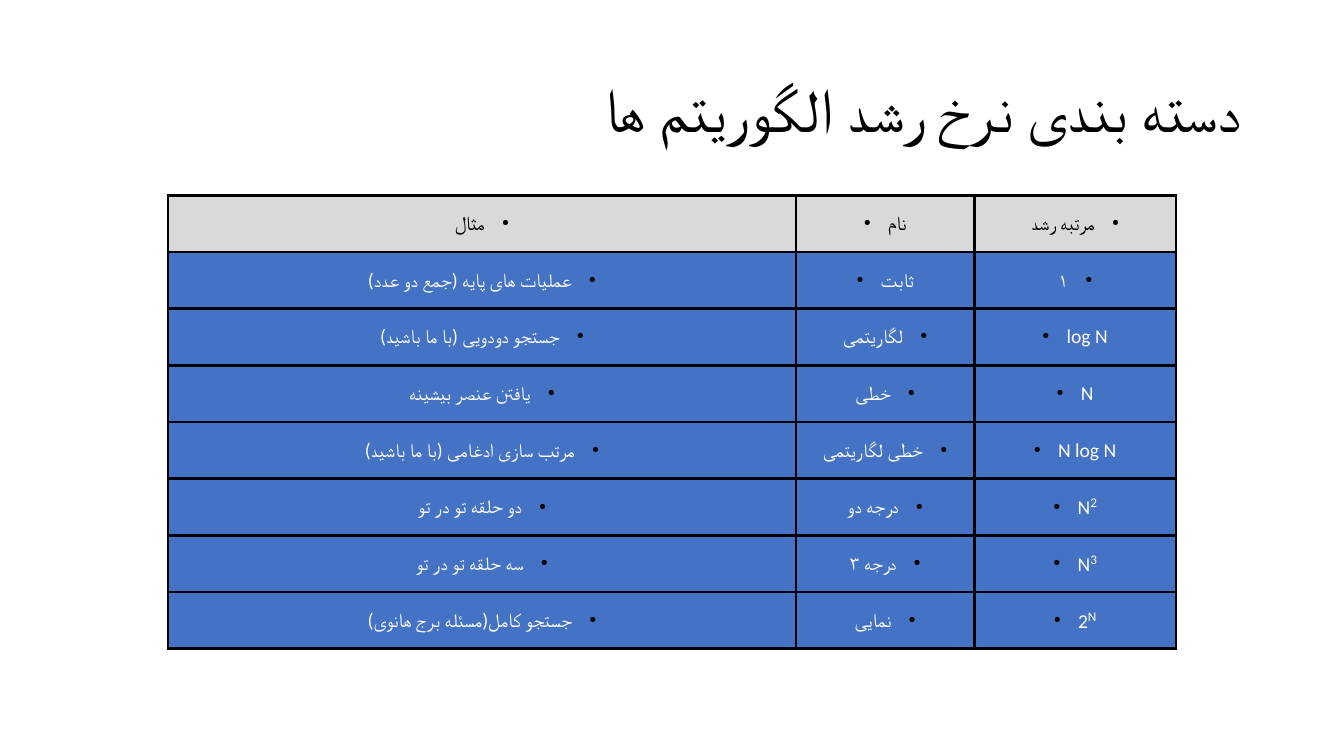
from dataclasses import dataclass

from lxml import etree
from pptx import Presentation, util as u
from pptx.dml.color import RGBColor
from pptx.enum import text
from pptx.oxml import ns

EMU_PER_PX = 9525


def px(length: int) -> u.Emu:
    return u.Emu(length * EMU_PER_PX)


@dataclass(frozen=True)
class Theme:
    font: str = "Calibri"
    ink: str = "000000"
    light: str = "FFFFFF"
    header_fill: str = "D9D9D9"
    body_fill: str = "4472C4"
    title_size: float = 44
    cell_size: float = 14
    power_size: float = 16.2
    border_width: float = 1.98


@dataclass(frozen=True)
class Entry:
    text: str
    rtl: bool = True
    power: str = ""


@dataclass(frozen=True)
class GrowthRow:
    example: Entry
    name: Entry
    order: Entry


THEME = Theme()
TITLE = "دسته بندی نرخ رشد الگوریتم ها"
COLUMN_WIDTHS = (598, 170, 192)
ROW_HEIGHT = 54
BULLET_INDENT = 23

ROWS = (
    GrowthRow(Entry("مثال"), Entry("نام", rtl=False), Entry("مرتبه رشد")),
    GrowthRow(Entry("عملیات های پایه (جمع دو عدد)"), Entry("ثابت", rtl=False), Entry("۱")),
    GrowthRow(Entry("جستجو دودویی (با ما باشید)"), Entry("لگاریتمی"), Entry("log N", rtl=False)),
    GrowthRow(Entry("یافتن عنصر بیشینه"), Entry("خطی"), Entry("N", rtl=False)),
    GrowthRow(Entry("مرتب سازی ادغامی (با ما باشید)"), Entry("خطی لگاریتمی"),
              Entry("N log N", rtl=False)),
    GrowthRow(Entry("دو حلقه تو در تو"), Entry("درجه دو"), Entry("N", rtl=False, power="2")),
    GrowthRow(Entry("سه حلقه تو در تو"), Entry("درجه ۳"), Entry("N", rtl=False, power="3")),
    GrowthRow(Entry("جستجو کامل(مسئله برج هانوی)"), Entry("نمایی"),
              Entry("2", rtl=False, power="N")),
)


def add_child(parent, tag: str, **attributes: str):
    return etree.SubElement(parent, ns.qn(tag), attributes)


def add_solid(parent, color: str) -> None:
    add_child(add_child(parent, "a:solidFill"), "a:srgbClr", val=color)


def style_run(run, size: float, color: str) -> None:
    run.font.size = u.Pt(size)
    run.font.color.rgb = RGBColor.from_string(color)
    run.font.name = THEME.font
    add_child(run.font._element, "a:cs", typeface=THEME.font)


def add_bullet(paragraph) -> None:
    properties = paragraph._p.get_or_add_pPr()
    properties.set("marL", str(px(BULLET_INDENT)))
    properties.set("indent", str(-px(BULLET_INDENT)))
    add_child(add_child(properties, "a:buClr"), "a:srgbClr", val=THEME.ink)
    add_child(properties, "a:buSzPct", val="45000")
    add_child(properties, "a:buChar", char="●")


def add_borders(cell) -> None:
    properties = cell._tc.get_or_add_tcPr()
    for side in ("a:lnL", "a:lnR", "a:lnT", "a:lnB"):
        add_solid(add_child(properties, side, w=str(u.Pt(THEME.border_width))), THEME.ink)


def fill_cell(cell, entry: Entry, fill: str, color: str) -> None:
    cell.vertical_anchor = text.MSO_ANCHOR.MIDDLE
    cell.margin_left = cell.margin_right = px(8)
    cell.margin_top = cell.margin_bottom = px(5)
    add_borders(cell)
    cell.fill.solid()
    cell.fill.fore_color.rgb = RGBColor.from_string(fill)

    paragraph = cell.text_frame.paragraphs[0]
    paragraph.text = entry.text
    paragraph.alignment = text.PP_ALIGN.CENTER
    paragraph._p.get_or_add_pPr().set("rtl", str(int(entry.rtl)))
    add_bullet(paragraph)
    style_run(paragraph.runs[0], THEME.cell_size, color)
    if entry.power:
        power = paragraph.add_run()
        power.text = entry.power
        style_run(power, THEME.power_size, color)
        power.font._element.set("baseline", "30000")


def add_title(slide) -> None:
    box = slide.shapes.add_textbox(px(88), px(38), px(1104), px(139))
    frame = box.text_frame
    frame.word_wrap = True
    frame.vertical_anchor = text.MSO_ANCHOR.MIDDLE
    frame.text = TITLE
    paragraph = frame.paragraphs[0]
    paragraph.alignment = text.PP_ALIGN.RIGHT
    paragraph.line_spacing = 0.9
    paragraph._p.get_or_add_pPr().set("rtl", "1")
    style_run(paragraph.runs[0], THEME.title_size, THEME.ink)


def add_growth_table(slide) -> None:
    table = slide.shapes.add_table(
        len(ROWS), len(COLUMN_WIDTHS), px(160), px(186),
        px(sum(COLUMN_WIDTHS)), px(ROW_HEIGHT * len(ROWS))).table
    table.first_row = table.horz_banding = False
    for column, width in zip(table.columns, COLUMN_WIDTHS):
        column.width = px(width)
    for index, row in enumerate(ROWS):
        table.rows[index].height = px(ROW_HEIGHT)
        fill, color = ((THEME.body_fill, THEME.light) if index
                       else (THEME.header_fill, THEME.ink))
        for column, entry in enumerate((row.example, row.name, row.order)):
            fill_cell(table.cell(index, column), entry, fill, color)


def main() -> None:
    presentation = Presentation()
    presentation.slide_width = px(1280)
    presentation.slide_height = px(720)
    slide = presentation.slides.add_slide(presentation.slide_layouts[6])

    # Heading
    add_title(slide)

    # Growth orders with names and examples
    add_growth_table(slide)

    presentation.save("out.pptx")


if __name__ == "__main__":
    main()
